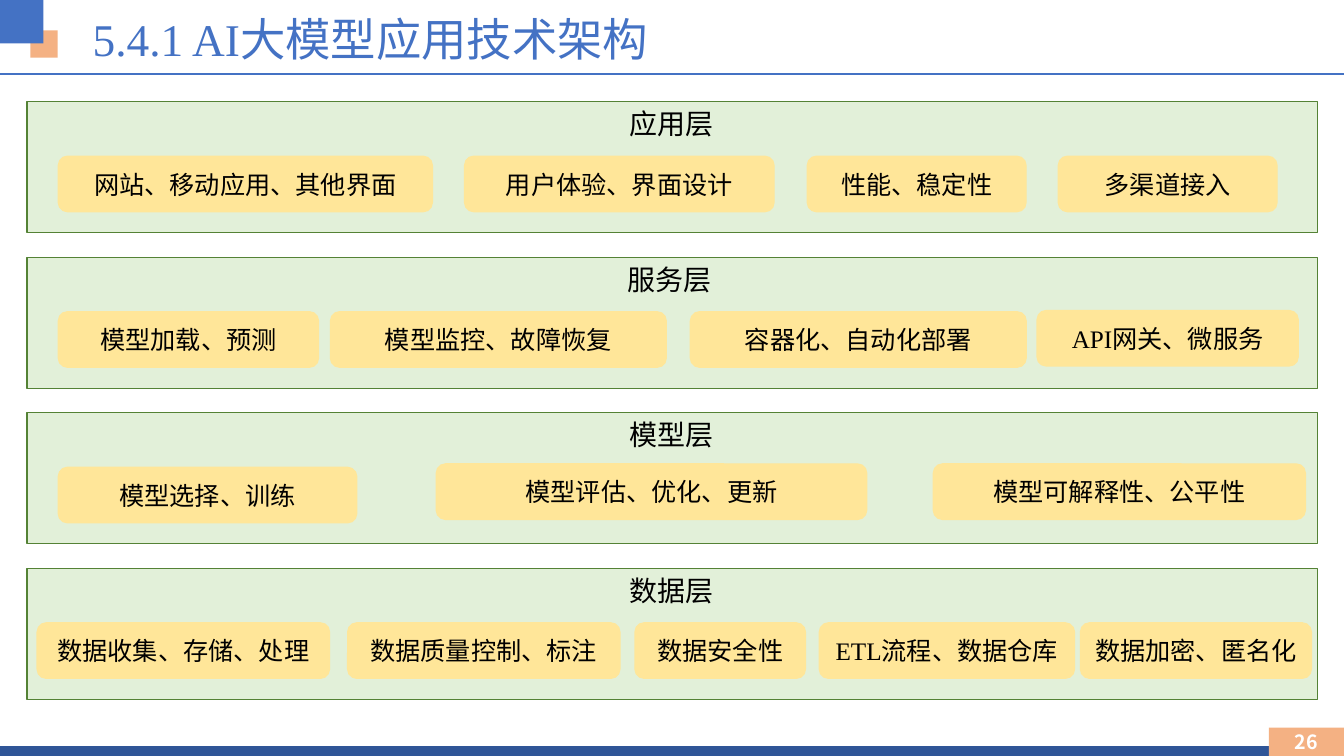
from dataclasses import dataclass

from lxml.etree import SubElement
from pptx import Presentation
from pptx.dml.color import RGBColor as RGB
from pptx.enum.shapes import MSO_CONNECTOR as CONN, MSO_SHAPE as SHAPE
from pptx.enum.text import MSO_ANCHOR as ANCHOR, MSO_AUTO_SIZE as AUTOSIZE, PP_ALIGN as ALIGN
from pptx.oxml.ns import qn
from pptx.util import Pt


@dataclass(frozen=True)
class Theme:
    """Colours, fonts and type sizes of the slide."""
    blue: str = "4472C4"
    navy: str = "2F5597"
    orange: str = "F4B183"
    panel: str = "E2F0D9"
    panel_line: str = "548235"
    chip: str = "FFE699"
    black: str = "000000"
    white: str = "FFFFFF"
    font: str = "Times New Roman"
    number_font: str = "Noto Sans CJK SC"
    title_size: float = 32.4
    caption_size: float = 20
    chip_size: float = 18
    number_size: float = 14


T = Theme()
W, H = 960, 540
LAYER_X, LAYER_Y, LAYER_W, LAYER_H, PITCH = 19.4, 72.7, 921.6, 93.6, 111.1
CHIP_H, CHIP_Y = 39.6, 38.9

LAYERS = [
    ("应用层", 358.6, [
        ("网站、移动应用、其他界面", 22.3, CHIP_Y, 267.1),
        ("用户体验、界面设计", 312.5, CHIP_Y, 221),
        ("性能、稳定性", 557.3, CHIP_Y, 156.2),
        ("多渠道接入", 736.6, CHIP_Y, 156.2)]),
    ("服务层", 357.1, [
        ("模型加载、预测", 22.3, CHIP_Y, 185.8),
        ("模型监控、故障恢复", 216.7, CHIP_Y, 239.8),
        ("容器化、自动化部署", 473.8, CHIP_Y, 239.8),
        ("API网关、微服务", 721.4, 38, 186.5)]),
    ("模型层", 358.6, [
        ("模型选择、训练", 22.3, CHIP_Y, 213.1),
        ("模型评估、优化、更新", 292.3, 36.5, 307.4),
        ("模型可解释性、公平性", 647.3, 36.5, 265.7)]),
    ("数据层", 358.6, [
        ("数据收集、存储、处理", 7.2, CHIP_Y, 208.8),
        ("数据质量控制、标注", 229, CHIP_Y, 194.4),
        ("数据安全性", 434.2, CHIP_Y, 121.7),
        ("ETL流程、数据仓库", 565.9, CHIP_Y, 182.2),
        ("数据加密、匿名化", 752.4, CHIP_Y, 164.9)]),
]


def add_box(shapes, x, y, w, h, fill, line=None, kind=SHAPE.RECTANGLE):
    """Add a filled shape, outlined when a line colour is given."""
    sp = shapes.add_shape(kind, Pt(x), Pt(y), Pt(w), Pt(h))
    sp.shadow.inherit = False
    sp.fill.solid()
    sp.fill.fore_color.rgb = RGB.from_string(fill)
    if line:
        sp.line.color.rgb = RGB.from_string(line)
        sp.line.width = Pt(1)
    else:
        sp.line.fill.background()
    return sp


def set_text(sp, text, size, color, font=T.font, align=ALIGN.CENTER,
             anchor=ANCHOR.MIDDLE, bold=False):
    """Write one formatted paragraph into a shape."""
    tf = sp.text_frame
    tf.word_wrap = True
    tf.vertical_anchor = anchor
    p = tf.paragraphs[0]
    p.text = text
    p.alignment = align
    p.font.size = Pt(size)
    p.font.name = font
    p.font.bold = bold
    p.font.color.rgb = RGB.from_string(color)
    return tf


def add_rule(shapes, y, color, width):
    """Add a horizontal line across the slide."""
    line = shapes.add_connector(CONN.STRAIGHT, 0, Pt(y), Pt(W), Pt(y))
    line.line.color.rgb = RGB.from_string(color)
    line.line.width = Pt(width)
    SubElement(line._element.spPr, qn("a:effectLst"))


def add_header(s, x, y, w, h, text):
    """Add the corner squares, the rule and the title in its box."""
    add_rule(s.shapes, 52.6, T.blue, 1.5)
    add_box(s.shapes, 21.8, 21.8, 19.4, 19.4, T.orange)
    add_box(s.shapes, 0, 0, 31, 31, T.blue)
    title = s.shapes.title
    title.left, title.top, title.width, title.height = Pt(x), Pt(y), Pt(w), Pt(h)
    tf = set_text(title, text, T.title_size, T.blue, align=ALIGN.LEFT)
    tf.auto_size = AUTOSIZE.NONE


def add_footer(s, x, y, w, h, number):
    """Add the bottom bar and the page number in its box."""
    add_rule(s.shapes, 536.6, T.navy, 8)
    sp = add_box(s.shapes, x, y, w, h, T.orange)
    tf = set_text(sp, number, T.number_size, T.white, T.number_font, bold=True)
    tf.margin_left = tf.margin_right = 0


def add_layer(s, x, y, w, h, caption, caption_x, chips):
    """Add one architecture layer as a group of panel, caption and chips."""
    shapes = s.shapes.add_group_shape().shapes
    add_box(shapes, x, y, w, h, T.panel, T.panel_line)
    tb = shapes.add_textbox(Pt(x + caption_x), Pt(y), Pt(203.8), Pt(31.5))
    set_text(tb, caption, T.caption_size, T.black, anchor=ANCHOR.TOP)
    for text, dx, dy, chip_w in chips:
        sp = add_box(shapes, x + dx, y + dy, chip_w, CHIP_H, T.chip, T.chip,
                     SHAPE.ROUNDED_RECTANGLE)
        set_text(sp, text, T.chip_size, T.black)


def main():
    """Build and save the slide."""
    prs = Presentation()
    prs.slide_width, prs.slide_height = Pt(W), Pt(H)
    s = prs.slides.add_slide(prs.slide_layouts[5])
    add_header(s, 59, 3.6, 691.2, 47.5, "5.4.1 AI大模型应用技术架构")
    add_footer(s, 906.3, 519.8, 53.7, 20.2, "26")
    for i, layer in enumerate(LAYERS):
        add_layer(s, LAYER_X, LAYER_Y + i * PITCH, LAYER_W, LAYER_H, *layer)
    prs.save("out.pptx")


if __name__ == "__main__":
    main()
